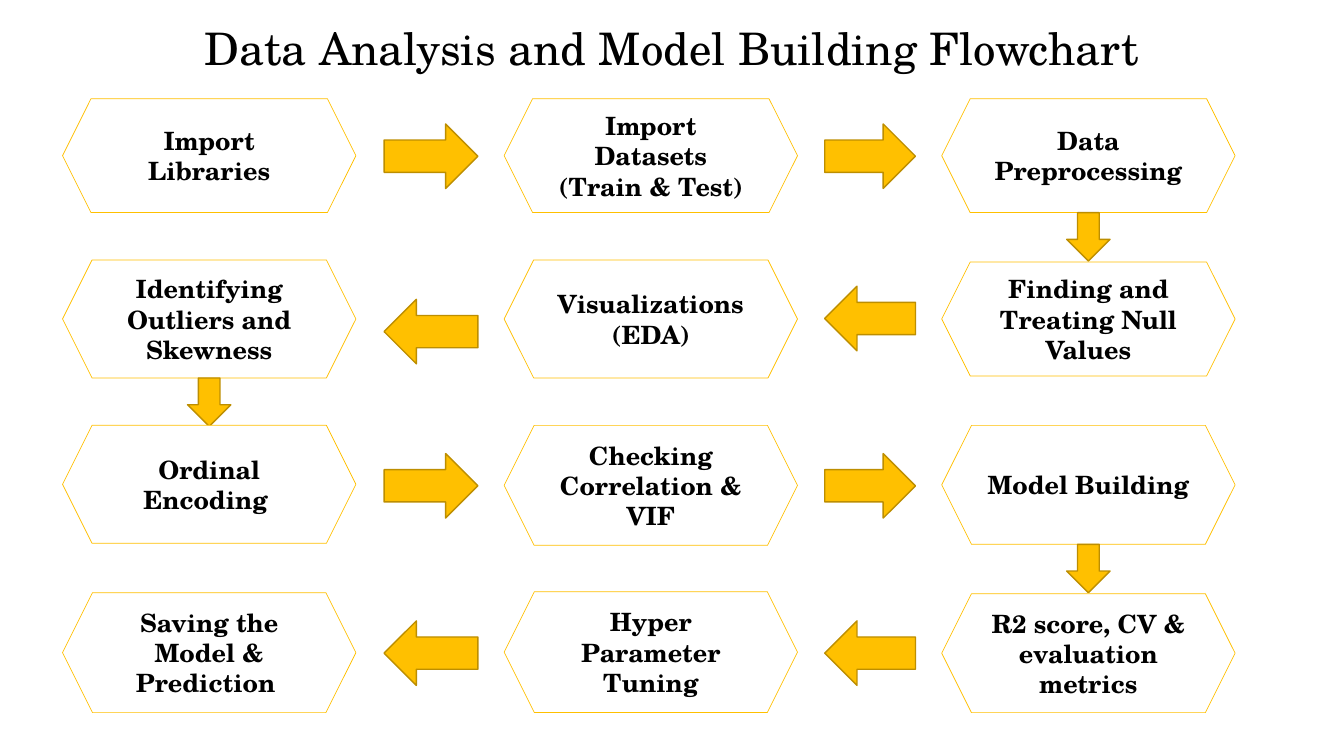
from pptx import Presentation
from pptx.dml.color import RGBColor
from pptx.enum import shapes, text
from pptx.util import Inches, Pt

FONT = "TeX Gyre Schola"
BLACK = RGBColor(0, 0, 0)
WHITE = RGBColor(255, 255, 255)
GOLD = RGBColor(0xFF, 0xC0, 0x00)
BROWN = RGBColor(0xBD, 0x8E, 0x00)
KIND = shapes.MSO_SHAPE

TITLE = "Data Analysis and Model Building Flowchart"
# Each row: steps from left to right as (words, top, height),
# tops of its two arrows, and the flow direction
ROWS = [
    ([("Import Libraries", 0.98, 1.13),
      ("Import Datasets\n(Train & Test)", 0.98, 1.13),
      ("Data Preprocessing", 0.98, 1.13)], (1.23, 1.23), KIND.RIGHT_ARROW),
    ([("Identifying Outliers and Skewness", 2.58, 1.17),
      ("Visualizations\n(EDA)", 2.58, 1.17),
      ("Finding and Treating Null Values", 2.6, 1.13)], (2.97, 2.84), KIND.LEFT_ARROW),
    ([("Ordinal Encoding ", 4.22, 1.17),
      ("Checking Correlation & VIF", 4.22, 1.19),
      ("Model Building", 4.22, 1.18)], (4.5, 4.5), KIND.RIGHT_ARROW),
    ([("Saving the Model & Prediction ", 5.88, 1.19),
      ("Hyper Parameter Tuning", 5.87, 1.2),
      ("R2 score, CV & evaluation metrics", 5.89, 1.18)], (6.16, 6.16), KIND.LEFT_ARROW),
]
COLS = (0.62, 5, 9.34)
STEP_W = 2.91
GAPS = ((3.81, 0.93), (8.18, 0.9))  # left and width of the sideways arrows
ARROW_H = 0.64
DOWN_W = 0.43
DOWN_H = 0.48


def write(shape, words, size=18, bold=False, anchor=text.MSO_ANCHOR.MIDDLE):
    frame = shape.text_frame
    frame.word_wrap = True
    frame.vertical_anchor = anchor
    frame.text = words
    for para in frame.paragraphs:
        para.alignment = text.PP_ALIGN.CENTER
        font = para.runs[0].font
        font.name, font.size, font.bold = FONT, Pt(size), bold
        font.color.rgb = BLACK


def draw(kind, left, top, width, height, fill=GOLD, line=BROWN, weight=1):
    shape = slide.shapes.add_shape(
        kind, Inches(left), Inches(top), Inches(width), Inches(height))
    shape.shadow.inherit = False
    shape.fill.solid()
    shape.fill.fore_color.rgb = fill
    shape.line.color.rgb = line
    shape.line.width = Pt(weight)
    return shape


deck = Presentation()
deck.slide_width, deck.slide_height = Inches(13.33), Inches(7.5)
slide = deck.slides.add_slide(deck.slide_layouts[6])

title = slide.shapes.add_textbox(0, Inches(0.16), deck.slide_width, Inches(0.64))
write(title, TITLE, size=32, anchor=text.MSO_ANCHOR.TOP)
title.text_frame.auto_size = text.MSO_AUTO_SIZE.SHAPE_TO_FIT_TEXT

for row, (steps, tops, arrow) in enumerate(ROWS):
    for left, (words, top, height) in zip(COLS, steps):
        step = draw(KIND.HEXAGON, left, top, STEP_W, height, WHITE, GOLD, 0.5)
        write(step, words, bold=True)
    for (left, width), top in zip(GAPS, tops):
        draw(arrow, left, top, width, ARROW_H)
    if row < len(ROWS) - 1:
        # The flow drops to the next row on the side where this row ends
        end = 2 if arrow == KIND.RIGHT_ARROW else 0
        top, height = steps[end][1:]
        left = COLS[end] + (STEP_W - DOWN_W) / 2
        draw(KIND.DOWN_ARROW, left, top + height, DOWN_W, DOWN_H)

deck.save("out.pptx")
